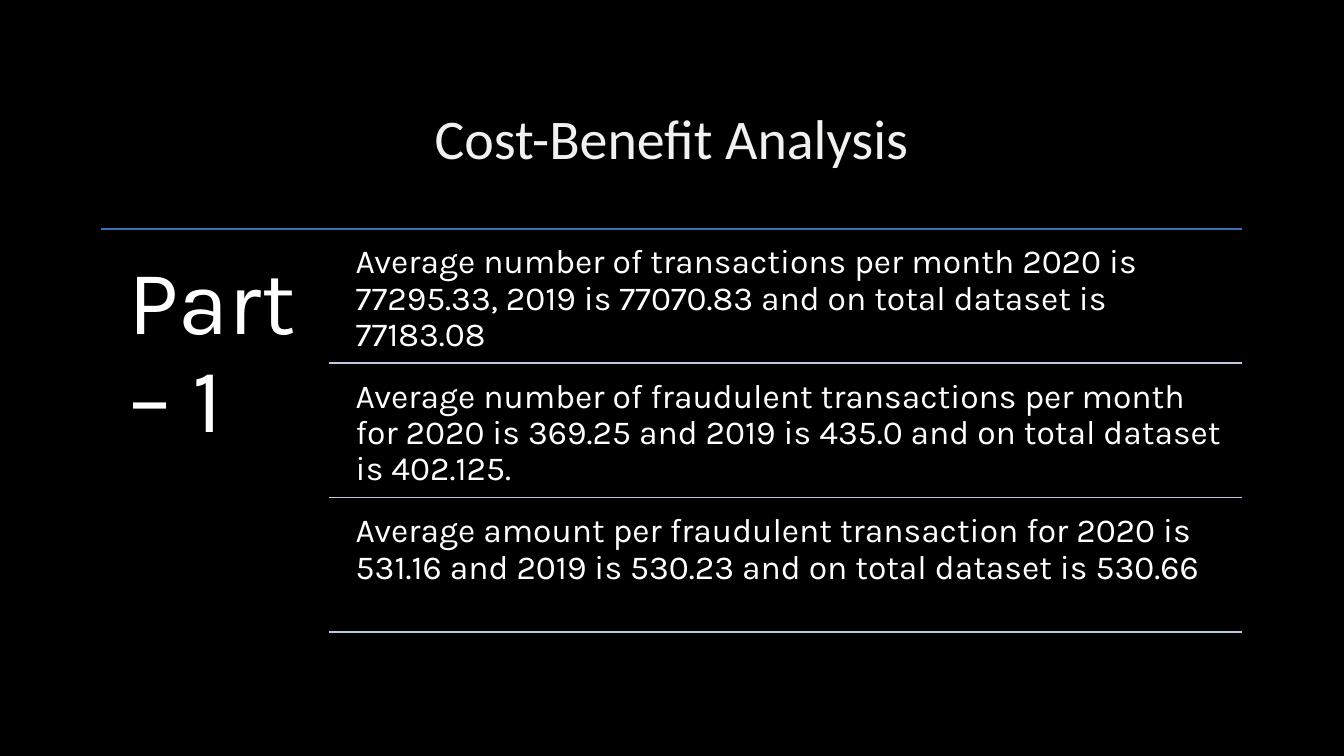
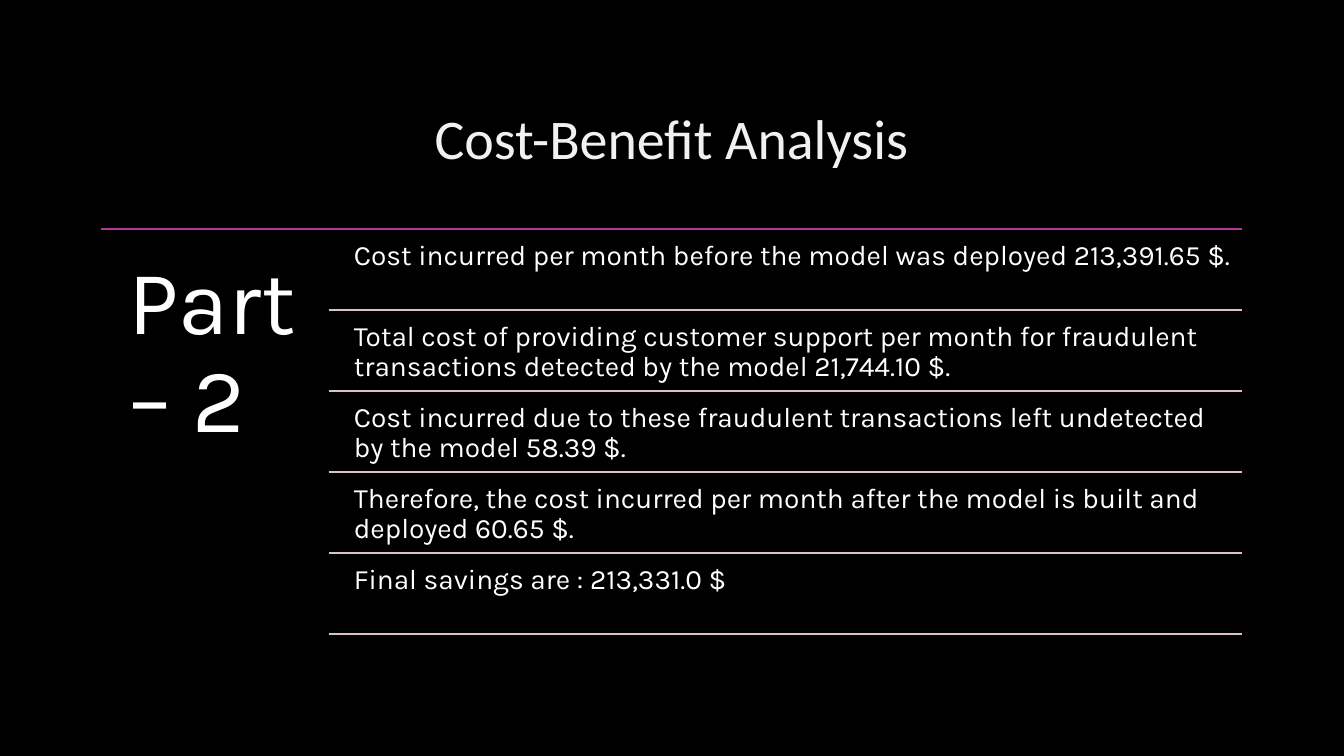
from lxml import etree
from pptx import Presentation
from pptx.dml.color import RGBColor
from pptx.enum.shapes import MSO_CONNECTOR
from pptx.enum.text import MSO_ANCHOR, PP_ALIGN
from pptx.oxml import parse_xml
from pptx.oxml.ns import nsdecls, qn
from pptx.util import Inches, Pt

TITLE = "Cost-Benefit Analysis"
PARTS = [
    {
        "label": "Part – 1",
        "accent": "3B70B1", "rule": "BFC9DD",
        "size": 24, "inset": 0.1, "gap": 0.06, "bottom": 6.27,
        "items": [
            "Average number of transactions per month 2020 is 77295.33, "
            "2019 is 77070.83 and on total dataset is 77183.08",
            "Average number of fraudulent transactions per month for 2020 is 369.25 "
            "and 2019 is 435.0 and on total dataset is 402.125.",
            "Average amount per fraudulent transaction for 2020 is 531.16 "
            "and 2019 is 530.23 and on total dataset is 530.66",
        ],
    },
    {
        "label": "Part – 2",
        "accent": "B13B97", "rule": "DDBFD3",
        "size": 20, "inset": 0.08, "gap": 0.04, "bottom": 6.29,
        "items": [
            "Cost incurred per month before the model was deployed 213,391.65 $.",
            "Total cost of providing customer support per month for fraudulent "
            "transactions detected by the model 21,744.10 $.",
            "Cost incurred due to these fraudulent transactions left undetected "
            "by the model 58.39 $.",
            "Therefore, the cost incurred per month after the model is built "
            "and deployed 60.65 $.",
            "Final savings are : 213,331.0 $",
        ],
    },
]

BLACK, WHITE, TITLE_COLOR = "000000", "FFFFFF", "F3F1F0"
TITLE_FONT, BODY_FONT = "Calibri", "Karla"
LEFT, RIGHT, TOP = 1, 12.32, 2.27
RULE_LEFT, ITEM_LEFT = 3.26, 3.43
LABEL_HEIGHT = 4.06
TITLE_OUTLINE = (
    f'<a:ln {nsdecls("a")} w="9525"><a:solidFill><a:srgbClr val="404040">'
    '<a:alpha val="10000"/></a:srgbClr></a:solidFill></a:ln>'
)


def rgb(color):
    return RGBColor.from_string(color)


def style_font(font, name, size, color):
    font.name = name
    font.size = Pt(size)
    font.color.rgb = rgb(color)


def set_up_layout(deck):
    """Give every slide the black background and the title position."""
    background = deck.slide_master.background.fill
    background.solid()
    background.fore_color.rgb = rgb(BLACK)
    layout = deck.slide_layouts.get_by_name("Title Only")
    title = layout.placeholders[0]
    title.left, title.top = Inches(LEFT), Inches(0.67)
    title.width, title.height = Inches(RIGHT - LEFT), Inches(1.38)
    title.text_frame.vertical_anchor = MSO_ANCHOR.MIDDLE
    return layout


def fill_title(page):
    frame = page.shapes.title.text_frame
    frame.text = TITLE
    para = frame.paragraphs[0]
    para.alignment = PP_ALIGN.CENTER
    span = para.runs[0]
    style_font(span.font, TITLE_FONT, 40, TITLE_COLOR)
    span.font._element.insert(0, parse_xml(TITLE_OUTLINE))


def add_rule(page, left, y, color):
    rule = page.shapes.add_connector(
        MSO_CONNECTOR.STRAIGHT, Inches(left), Inches(y), Inches(RIGHT), Inches(y))
    rule.line.color.rgb = rgb(color)
    rule.line.width = Pt(1.25)
    etree.SubElement(rule._element.spPr, qn("a:effectLst"))


def add_text(page, text, left, top, width, height, inset, size):
    box = page.shapes.add_textbox(
        Inches(left), Inches(top), Inches(width), Inches(height))
    frame = box.text_frame
    frame.word_wrap = True
    frame.margin_left = frame.margin_right = Inches(inset)
    frame.margin_top = frame.margin_bottom = Inches(inset)
    frame.text = text
    para = frame.paragraphs[0]
    para.line_spacing = 0.9
    style_font(para.runs[0].font, BODY_FONT, size, WHITE)


def add_part(deck, layout, part):
    page = deck.slides.add_slide(layout)
    fill_title(page)
    add_rule(page, LEFT, TOP, part["accent"])
    add_text(page, part["label"], LEFT, TOP, RULE_LEFT - LEFT, LABEL_HEIGHT, 0.27, 65)

    pitch = (part["bottom"] - TOP) / len(part["items"])
    for index, item in enumerate(part["items"]):
        row_top = TOP + index * pitch
        add_text(page, item, ITEM_LEFT, row_top + part["gap"], RIGHT - ITEM_LEFT,
                 pitch - part["gap"], part["inset"], part["size"])
        add_rule(page, RULE_LEFT, row_top + pitch, part["rule"])


def main():
    deck = Presentation()
    deck.slide_width, deck.slide_height = Inches(13.33), Inches(7.5)
    layout = set_up_layout(deck)
    for part in PARTS:
        add_part(deck, layout, part)
    deck.save("out.pptx")


if __name__ == "__main__":
    main()
